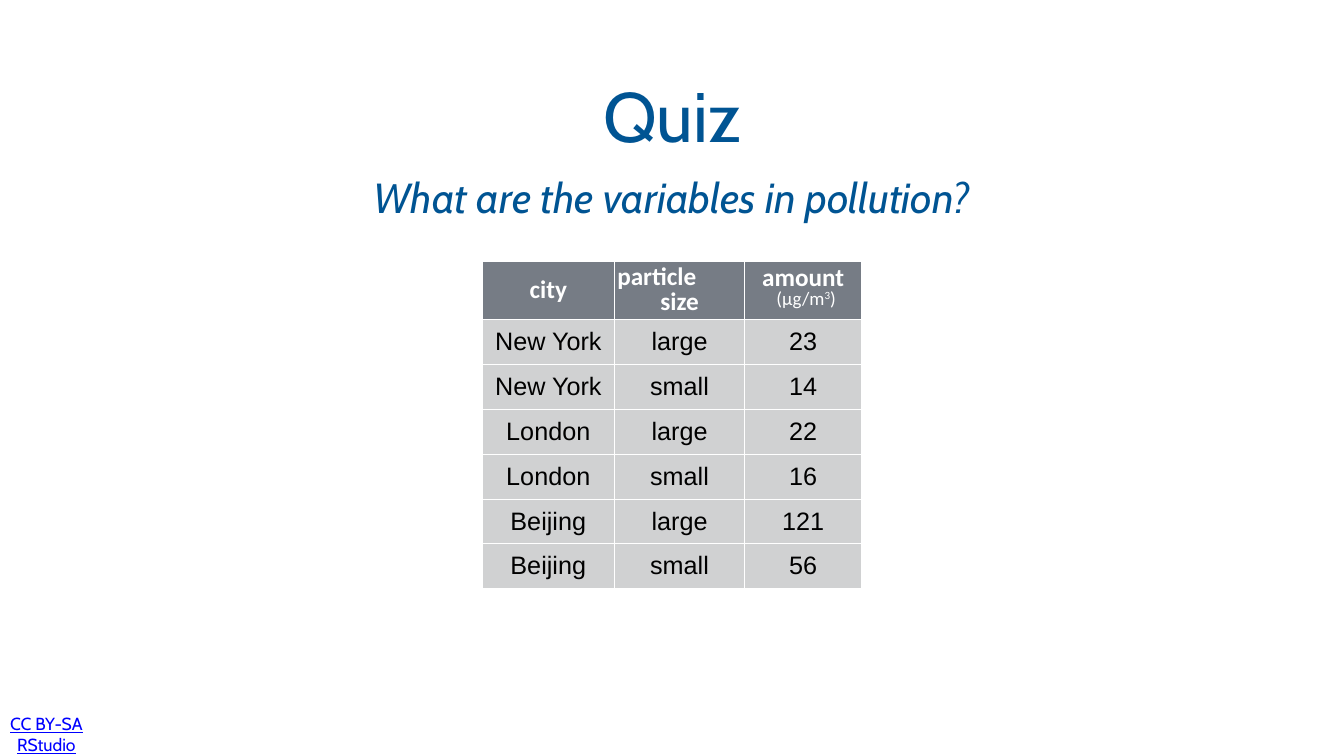
import pptx
import pptx.dml.color
import pptx.enum.text
import pptx.oxml
import pptx.oxml.ns
import pptx.util

Inches = pptx.util.Inches
Pt = pptx.util.Pt
ALIGN = pptx.enum.text.PP_ALIGN
ANCHOR = pptx.enum.text.MSO_ANCHOR

NAVY, LINK_BLUE, WHITE, BLACK = "005493", "0000FF", "FFFFFF", "000000"
HEADER_FILL, BODY_FILL = "767C85", "D0D1D2"
COLUMN_WIDTHS = [2.62, 2.59, 2.32]
HEADER_HEIGHT, ROW_HEIGHT = 1.16, 0.89
POLLUTION = [
    ("New York", "large", 23),
    ("New York", "small", 14),
    ("London", "large", 22),
    ("London", "small", 16),
    ("Beijing", "large", 121),
    ("Beijing", "small", 56),
]


def color(value):
    return pptx.dml.color.RGBColor.from_string(value)


def add_run(p, text, size=36, font="Calibri", fill=WHITE, bold=False,
            italic=False, underline=False, baseline=0):
    r = p.add_run()
    r.text = text
    r.font.size, r.font.name = Pt(size), font
    r.font.bold, r.font.italic, r.font.underline = bold, italic, underline
    r.font.color.rgb = color(fill)
    if baseline:
        r.font._element.set("baseline", str(baseline * 1000))


def add_paragraph(tf, first=False, align=ALIGN.CENTER, spacing=None):
    p = tf.paragraphs[0] if first else tf.add_paragraph()
    p.alignment = align
    p.line_spacing = spacing
    return p


def set_margins(target, inset):
    target.margin_left = target.margin_right = Inches(inset)
    target.margin_top = target.margin_bottom = Inches(inset)


def add_text(s, text, left, top, width, height, anchor=ANCHOR.MIDDLE, **style):
    tf = s.shapes.add_textbox(*map(Inches, (left, top, width, height))).text_frame
    tf.word_wrap = True
    tf.vertical_anchor = anchor
    set_margins(tf, 0.08)
    add_run(add_paragraph(tf, first=True), text, font="Cabin", **style)


def set_borders(cell):
    """Put a white 1 pt line on each side, ahead of the cell fill."""
    tc_pr = cell._tc.get_or_add_tcPr()
    for i, side in enumerate(("lnL", "lnR", "lnT", "lnB")):
        tc_pr.insert(i, pptx.oxml.parse_xml(
            f'<a:{side} {pptx.oxml.ns.nsdecls("a")} w="{Pt(1)}"><a:solidFill>'
            f'<a:srgbClr val="{WHITE}"/></a:solidFill></a:{side}>'))


def format_cell(cell, fill):
    cell.fill.solid()
    cell.fill.fore_color.rgb = color(fill)
    cell.vertical_anchor = ANCHOR.MIDDLE
    set_margins(cell, 0.06)
    set_borders(cell)


def fill_header(city, particle_size, amount):
    add_run(add_paragraph(city, first=True), "city", bold=True)

    p = add_paragraph(particle_size, first=True, align=ALIGN.LEFT, spacing=0.8)
    add_run(p, "particle", bold=True)
    add_run(add_paragraph(particle_size, spacing=0.8), "size", bold=True)

    p = add_paragraph(amount, first=True, spacing=0.6)
    add_run(p, "amount", bold=True)
    unit = add_paragraph(amount, spacing=0.6)
    add_run(unit, " ")
    add_run(unit, "(µg/m", size=27)
    add_run(unit, "3", size=27, baseline=32)
    add_run(unit, ")", size=27)


def add_pollution_table(s, left, top):
    heights = [HEADER_HEIGHT] + [ROW_HEIGHT] * len(POLLUTION)
    table = s.shapes.add_table(
        len(heights), len(COLUMN_WIDTHS), Inches(left), Inches(top),
        Inches(sum(COLUMN_WIDTHS)), Inches(sum(heights))).table
    for column, width in zip(table.columns, COLUMN_WIDTHS):
        column.width = Inches(width)
    for i, (row, height) in enumerate(zip(table.rows, heights)):
        row.height = Inches(height)
        for cell in row.cells:
            format_cell(cell, BODY_FILL if i else HEADER_FILL)
    fill_header(*(cell.text_frame for cell in table.rows[0].cells))
    for i, record in enumerate(POLLUTION, start=1):
        for cell, value in zip(table.rows[i].cells, record):
            p = add_paragraph(cell.text_frame, first=True)
            add_run(p, str(value), font="Arial", fill=BLACK)


def main():
    prs = pptx.Presentation()
    prs.slide_width, prs.slide_height = Inches(26.67), Inches(15)
    s = prs.slides.add_slide(prs.slide_layouts[6])
    s.background.fill.solid()
    s.background.fill.fore_color.rgb = color(WHITE)
    add_text(s, "CC BY-SA RStudio", 0.07, 14.06, 1.7, 1,
             size=25, fill=LINK_BLUE, underline=True)
    add_text(s, "Quiz", 5.29, 0.39, 16.09, 3.75, size=100, fill=NAVY)
    add_text(s, "What are the variables in pollution?", 1.58, 3.32, 23.51, 1.34,
             anchor=ANCHOR.TOP, size=60, fill=NAVY, italic=True)
    add_pollution_table(s, 9.57, 5.18)
    prs.save("out.pptx")


if __name__ == "__main__":
    main()
